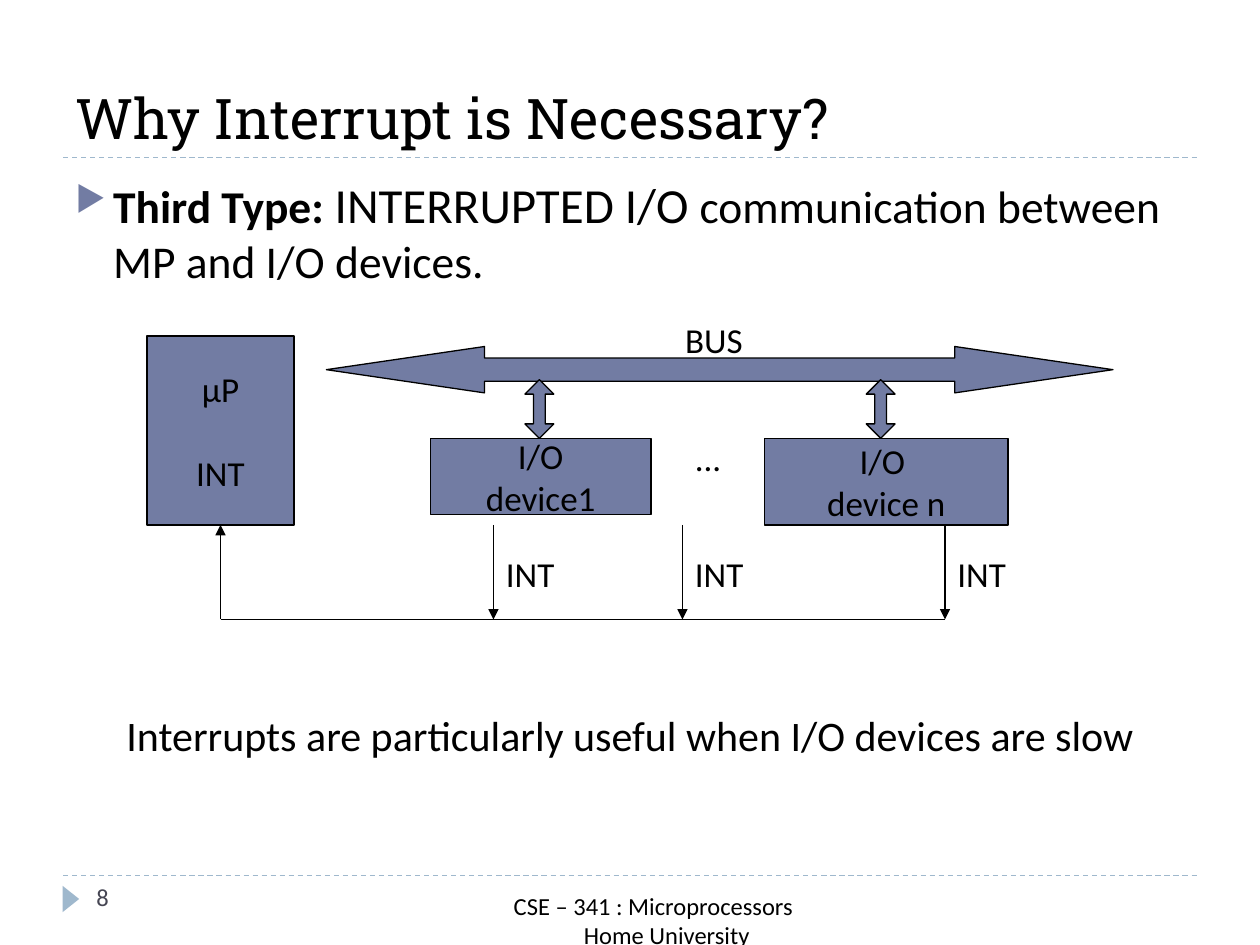
from lxml import etree
from pptx import Presentation
from pptx.dml.color import RGBColor
from pptx.enum.dml import MSO_LINE
from pptx.enum.shapes import MSO_CONNECTOR, MSO_SHAPE
from pptx.enum.text import MSO_ANCHOR, PP_ALIGN
from pptx.oxml.ns import qn
from pptx.util import Pt

RECTANGLE = MSO_SHAPE.RECTANGLE
TRIANGLE = MSO_SHAPE.ISOSCELES_TRIANGLE
WIDE_ARROW = MSO_SHAPE.LEFT_RIGHT_ARROW
TALL_ARROW = MSO_SHAPE.UP_DOWN_ARROW
STRAIGHT = MSO_CONNECTOR.STRAIGHT
DASH = MSO_LINE.DASH
LEFT, CENTER = PP_ALIGN.LEFT, PP_ALIGN.CENTER
MIDDLE, BOTTOM = MSO_ANCHOR.MIDDLE, MSO_ANCHOR.BOTTOM

BLACK = RGBColor(0x00, 0x00, 0x00)
SLATE = RGBColor(0x72, 0x7C, 0xA3)
PALE_BLUE = RGBColor(0x9F, 0xB8, 0xCD)
DARK_GREY = RGBColor(0x46, 0x46, 0x53)

BOTTOM_SIDE = 2


class SlideBuilder:
    title_font = "Roboto Slab"
    body_font = "Calibri"
    line_width = Pt(0.75)

    def __init__(self, deck):
        self.slide = deck.slides.add_slide(deck.slide_layouts[5])

    def span(self, para, text, size, color=BLACK, bold=False, font=None):
        span = para.add_run()
        span.text = text
        span.font.name = font or self.body_font
        span.font.size = Pt(size)
        span.font.bold = bold
        span.font.color.rgb = color

    def lines(self, frame, texts, size, align, color=BLACK):
        for number, text in enumerate(texts):
            para = frame.add_paragraph() if number else frame.paragraphs[0]
            para.alignment = align
            self.span(para, text, size, color)

    def title(self, text, left, top, width, height):
        box = self.slide.shapes.title
        box.left, box.top, box.width, box.height = map(Pt, (left, top, width, height))
        frame = box.text_frame
        frame.vertical_anchor = BOTTOM
        para = frame.paragraphs[0]
        para.alignment = LEFT
        self.span(para, text, 32, font=self.title_font)

    def text(self, texts, left, top, width, height, size=20, align=LEFT, color=BLACK):
        box = self.slide.shapes.add_textbox(*map(Pt, (left, top, width, height)))
        box.text_frame.word_wrap = True
        self.lines(box.text_frame, texts, size, align, color)
        return box.text_frame

    def bullet(self, para, indent):
        props = para._p.get_or_add_pPr()
        props.set("marL", str(Pt(indent)))
        props.set("indent", str(-Pt(indent)))
        color = etree.SubElement(props, qn("a:buClr"))
        etree.SubElement(color, qn("a:srgbClr"), val=str(SLATE))
        etree.SubElement(props, qn("a:buSzPct"), val="76000")
        etree.SubElement(props, qn("a:buChar"), char="▶")

    def shape(self, kind, left, top, width, height, fill=SLATE, outline=BLACK, adjust=()):
        shape = self.slide.shapes.add_shape(kind, *map(Pt, (left, top, width, height)))
        shape.shadow.inherit = False
        shape.fill.solid()
        shape.fill.fore_color.rgb = fill
        if outline is None:
            shape.line.fill.background()
        else:
            shape.line.color.rgb = outline
            shape.line.width = self.line_width
        for number, value in enumerate(adjust):
            shape.adjustments[number] = value
        return shape

    def block(self, texts, left, top, width, height):
        block = self.shape(RECTANGLE, left, top, width, height)
        frame = block.text_frame
        frame.word_wrap = False
        frame.vertical_anchor = MIDDLE
        self.lines(frame, texts, 20, CENTER)
        return block

    def line(self, x1, y1, x2, y2, color=BLACK, dash=None, arrow=False):
        line = self.slide.shapes.add_connector(STRAIGHT, *map(Pt, (x1, y1, x2, y2)))
        line.line.color.rgb = color
        line.line.width = self.line_width
        if dash is not None:
            line.line.dash_style = dash
        if arrow:
            etree.SubElement(line.line._get_or_add_ln(), qn("a:tailEnd"), type="triangle")
        etree.SubElement(line._element.spPr, qn("a:effectLst"))
        return line


def main():
    deck = Presentation()
    deck.slide_width, deck.slide_height = Pt(720), Pt(540)
    page = SlideBuilder(deck)

    # Rules and page marker
    for y in (500.4, 90):
        page.line(36, y, 684, y, PALE_BLUE, DASH)
    marker = page.shape(TRIANGLE, 33, 509, 15, 9.4, PALE_BLUE, None)
    marker.rotation = 90

    # Title, page number and main point
    page.title("Why Interrupt is Necessary?", 36, 12, 648, 78)
    page.text(["8"], 48, 500.4, 156, 29, 14, color=DARK_GREY)
    point = page.text([], 36, 96, 648, 389).paragraphs[0]
    point.space_before = Pt(6)
    page.bullet(point, 21.6)
    page.span(point, "Third Type: ", 26, bold=True)
    page.span(point, "INTERRUPTED I/O ", 28)
    page.span(point, "communication between MP and I/O devices.", 26)

    # Processor, bus and devices
    processor = page.block(["µP", "INT"], 84, 192, 84, 108)
    processor.text_frame.paragraphs[1].space_before = Pt(24)
    page.shape(WIDE_ARROW, 186.5, 198, 449.5, 26.5, adjust=(0.5, 3.41))
    page.block(["I/O", "device1"], 246, 250.5, 126, 43.5)
    page.block(["I/O ", "device n"], 437, 250.5, 139, 49.5)
    for x in (300, 495):
        page.shape(TALL_ARROW, x, 217, 16.5, 33.5, adjust=(0.5, 0.41))
    page.text(["BUS"], 360, 178.5, 96, 31.5, align=CENTER)
    page.text(["..."], 390, 246, 42, 31.5)

    # Interrupt lines gathered into one return line
    request_xs = (282, 390, 540)
    for x in request_xs:
        page.line(x, 300, x, 354, arrow=True)
        page.text(["INT"], x, 312, 48, 31.5)
    page.line(126, 354, request_xs[-1], 354)
    request = page.line(126, 354, 126, 300, arrow=True)
    request.end_connect(processor, BOTTOM_SIDE)

    # Conclusion and footer
    page.text(["Interrupts are particularly useful when I/O devices are slow"],
              27, 402, 666, 36, 24, CENTER)
    footer = page.text(["CSE – 341 : Microprocessors ", "Home University"],
                       132, 505.5, 486, 29, 14, CENTER)
    footer.paragraphs[1]._p.get_or_add_pPr().set("marL", str(Pt(12)))

    deck.save("out.pptx")


if __name__ == "__main__":
    main()
